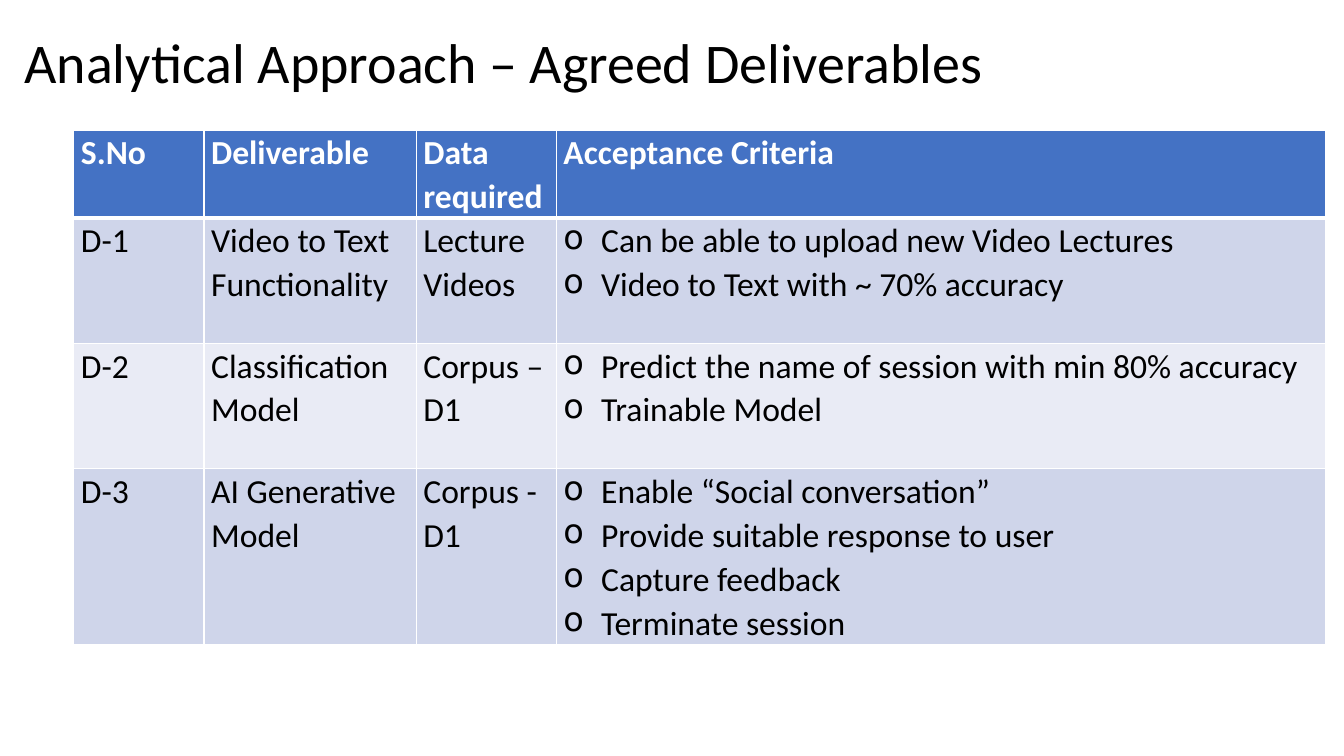
"""Build the slide with the table of agreed deliverables."""
from lxml.etree import SubElement
from pptx import Presentation
from pptx.dml.color import RGBColor
from pptx.enum.text import MSO_ANCHOR, PP_ALIGN
from pptx.oxml import parse_xml
from pptx.oxml.ns import nsdecls, qn
from pptx.util import Cm, Pt

COLORS = {
    "text": "000000",
    "white": "FFFFFF",
    "header": "4472C4",
    "odd": "CFD5EA",
    "even": "E9EBF5",
}
COLUMN_WIDTHS = [3.28, 5.35, 3.53, 19.4]
ROW_HEIGHTS = [2.2, 3.16, 3.16, 4.4]
ROWS = [
    ["S.No", "Deliverable", "Data required", ["Acceptance Criteria"]],
    ["D-1", "Video to Text Functionality", "Lecture Videos", [
        "Can be able to upload new Video Lectures",
        "Video to Text with ~ 70% accuracy"]],
    ["D-2", "Classification Model", "Corpus – D1", [
        "Predict the name of session with min 80% accuracy",
        "Trainable Model"]],
    ["D-3", "AI Generative Model", "Corpus - D1", [
        "Enable “Social conversation”",
        "Provide suitable response to user",
        "Capture feedback",
        "Terminate session"]],
]


def write_text(frame, lines, size=24, color="text", bold=False, spacing=1.07, bullet=None):
    for index, line in enumerate(lines):
        para = frame.add_paragraph() if index else frame.paragraphs[0]
        para.alignment = PP_ALIGN.LEFT
        para.line_spacing = spacing
        span = para.add_run()
        span.text = line
        span.font.name = "Calibri"
        span.font.size = Pt(size)
        span.font.bold = bold
        span.font.color.rgb = RGBColor.from_string(COLORS[color])
        if bullet:
            properties = para._p.get_or_add_pPr()
            properties.set("marL", str(Cm(0.95)))
            properties.set("indent", str(-Cm(0.95)))
            SubElement(properties, qn("a:buChar")).set("char", bullet)


deck = Presentation()
deck.slide_width = Cm(33.87)
deck.slide_height = Cm(19.05)
page = deck.slides.add_slide(deck.slide_layouts.get_by_name("Title Only"))

title = page.shapes.title
title.left, title.top, title.width, title.height = Cm(0.36), Cm(0.15), Cm(30.48), Cm(3)
title.text_frame.vertical_anchor = MSO_ANCHOR.MIDDLE
write_text(title.text_frame, ["Analytical Approach – Agreed Deliverables"], size=40, spacing=0.9)

table = page.shapes.add_table(
    len(ROWS), len(COLUMN_WIDTHS), Cm(1.86), Cm(3.28),
    Cm(sum(COLUMN_WIDTHS)), Cm(sum(ROW_HEIGHTS))).table
for column, width in zip(table.columns, COLUMN_WIDTHS):
    column.width = Cm(width)

for row_index, (values, height) in enumerate(zip(ROWS, ROW_HEIGHTS)):
    table.rows[row_index].height = Cm(height)
    is_header = row_index == 0
    fill = "header" if is_header else "odd" if row_index % 2 else "even"
    for column_index, value in enumerate(values):
        cell = table.cell(row_index, column_index)
        cell.margin_left = cell.margin_right = Cm(0.18)
        cell.margin_top = cell.margin_bottom = 0
        is_list = isinstance(value, list)
        write_text(cell.text_frame, value if is_list else [value],
                   color="white" if is_header else "text", bold=is_header,
                   bullet="o" if is_list and not is_header else None)
        for side in "LRTB":
            thick = (is_header and side == "B") or (row_index == 1 and side == "T")
            cell._tc.get_or_add_tcPr().append(parse_xml(
                f'<a:ln{side} {nsdecls("a")} w="{Pt(3 if thick else 1)}"><a:solidFill>'
                f'<a:srgbClr val="{COLORS["white"]}"/></a:solidFill></a:ln{side}>'))
        cell.fill.solid()
        cell.fill.fore_color.rgb = RGBColor.from_string(COLORS[fill])

deck.save("out.pptx")
